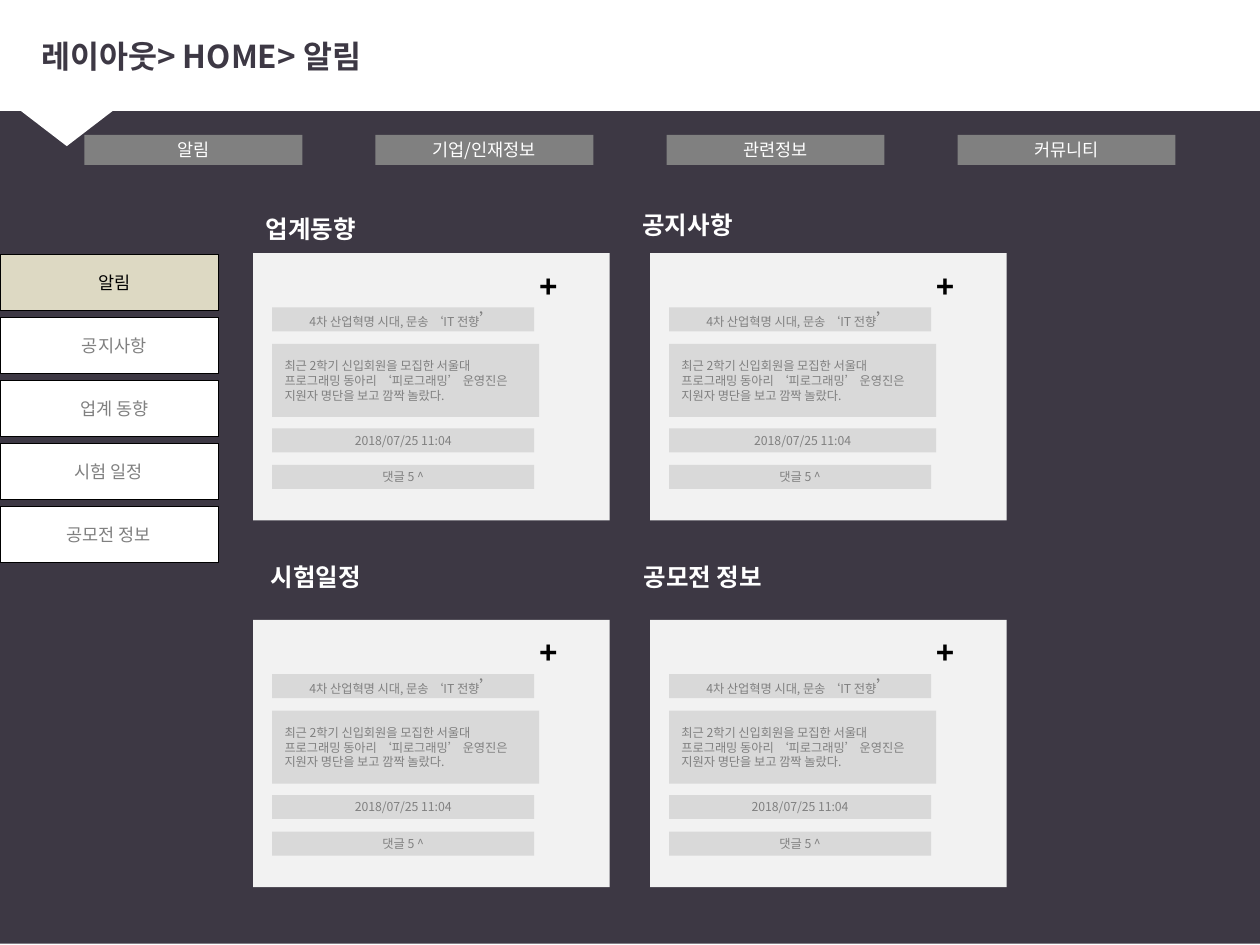
from lxml.etree import SubElement
from pptx import Presentation
from pptx.dml.color import RGBColor
from pptx.enum.shapes import MSO_SHAPE
from pptx.enum.text import MSO_ANCHOR, PP_ALIGN
from pptx.oxml.ns import qn
from pptx.util import Inches, Pt

COLORS = {"dark": "3D3844", "white": "FFFFFF", "black": "000000", "gray": "808080",
          "bar": "D9D9D9", "card": "F2F2F2", "selected": "DDD9C3"}
FONT = "Noto Sans CJK KR"

TITLE = "레이아웃> HOME> 알림"
TABS = ["알림", "기업/인재정보", "관련정보", "커뮤니티"]
# label, left inset
MENU = [("알림", 0.18), ("공지사항", 0.18), ("업계 동향", 0.18),
        ("시험 일정", 0.1), ("공모전 정보", 0.1)]
# heading, heading box, card column, card row, width of the date bar
CARDS = [("업계동향", (2.01, 1.65, 1.08, 0.34), 0, 0, 2.08),
         ("공지사항", (5, 1.62, 1.06, 0.34), 1, 0, 2.12),
         ("시험일정", (2.05, 4.41, 0.98, 0.34), 0, 1, 2.08),
         ("공모전 정보", (5.01, 4.41, 1.25, 0.34), 1, 1, 2.08)]
HEADLINE = [("4차 산업혁명 시대, 문송 ‘IT 전향", 7), ("’", 10)]
SUMMARY = "최근 2학기 신입회원을 모집한 서울대 프로그래밍 동아리 ‘피로그래밍’ 운영진은 지원자 명단을 보고 깜짝 놀랐다."
DATE = "2018/07/25 11:04"
COMMENTS = "댓글 5 ^"


def write(shape, runs, color, bold=False, font=FONT, align=PP_ALIGN.CENTER,
          anchor=MSO_ANCHOR.MIDDLE, inset=0.1):
    """Put (text, size) runs into the shape as one paragraph."""
    frame = shape.text_frame
    settings = {"word_wrap": True, "vertical_anchor": anchor, "margin_left": Inches(inset)}
    for name, value in settings.items():
        setattr(frame, name, value)
    paragraph = frame.paragraphs[0]
    paragraph.alignment = align
    for text, size in runs:
        run = paragraph.add_run()
        run.text = text
        for name, value in {"name": font, "size": Pt(size), "bold": bold}.items():
            setattr(run.font, name, value)
        run.font.color.rgb = RGBColor.from_string(COLORS[color])
        SubElement(run.font._element, qn("a:ea")).set("typeface", font)


def add_block(slide, box, fill, outlined=False, kind=MSO_SHAPE.RECTANGLE):
    shape = slide.shapes.add_shape(kind, *map(Inches, box))
    shape.shadow.inherit = False
    shape.fill.solid()
    shape.fill.fore_color.rgb = RGBColor.from_string(COLORS[fill])
    if outlined:
        shape.line.color.rgb = RGBColor.from_string(COLORS["black"])
        shape.line.width = Pt(0.25)
    else:
        shape.line.fill.background()
    return shape


def add_label(slide, box, text, size, color, font=FONT, anchor=MSO_ANCHOR.TOP):
    label = slide.shapes.add_textbox(*map(Inches, box))
    write(label, [(text, size)], color, True, font, PP_ALIGN.LEFT, anchor)


def add_card(slide, left, top, date_width):
    add_block(slide, (left, top, 2.83, 2.12), "card")
    rows = [(0.43, 2.08, 0.19, HEADLINE, PP_ALIGN.CENTER),
            (0.72, 2.12, 0.58, [(SUMMARY, 7)], PP_ALIGN.LEFT),
            (1.39, date_width, 0.19, [(DATE, 7)], PP_ALIGN.CENTER),
            (1.68, 2.08, 0.19, [(COMMENTS, 7)], PP_ALIGN.CENTER)]
    for offset, width, height, runs, align in rows:
        bar = add_block(slide, (left + 0.15, top + offset, width, height), "bar")
        write(bar, runs, "gray", align=align)
    add_label(slide, (left + 2.17, top + 0.05, 0.59, 0.49), "+", 18, "black", "Arial")


def main():
    presentation = Presentation()
    presentation.slide_width, presentation.slide_height = Inches(10), Inches(7.5)
    slide = presentation.slides.add_slide(presentation.slide_layouts[6])

    add_block(slide, (0, -0.01, 10.14, 7.5), "dark")
    add_block(slide, (-0.03, -0.02, 10.17, 0.9), "white")
    pointer = add_block(slide, (-0.2, 0.6, 1.46, 0.56), "white",
                        kind=MSO_SHAPE.ISOSCELES_TRIANGLE)
    pointer.rotation = 180
    add_label(slide, (0.23, 0.13, 9.66, 0.62), TITLE, 18, "dark", anchor=MSO_ANCHOR.MIDDLE)

    for index, text in enumerate(TABS):
        tab = add_block(slide, (0.67 + 2.31 * index, 1.07, 1.73, 0.24), "gray")
        write(tab, [(text, 10)], "white")

    for heading, box, column, row, date_width in CARDS:
        add_label(slide, box, heading, 14, "white")
        add_card(slide, 2.01 + 3.15 * column, 2.01 + 2.91 * row, date_width)

    for index, (text, inset) in enumerate(MENU):
        selected = index == 0
        item = add_block(slide, (0, 2.02 + 0.5 * index, 1.73, 0.44),
                         "selected" if selected else "white", outlined=True)
        write(item, [(text, 10)], "black" if selected else "gray", inset=inset)

    presentation.save("out.pptx")


if __name__ == "__main__":
    main()
